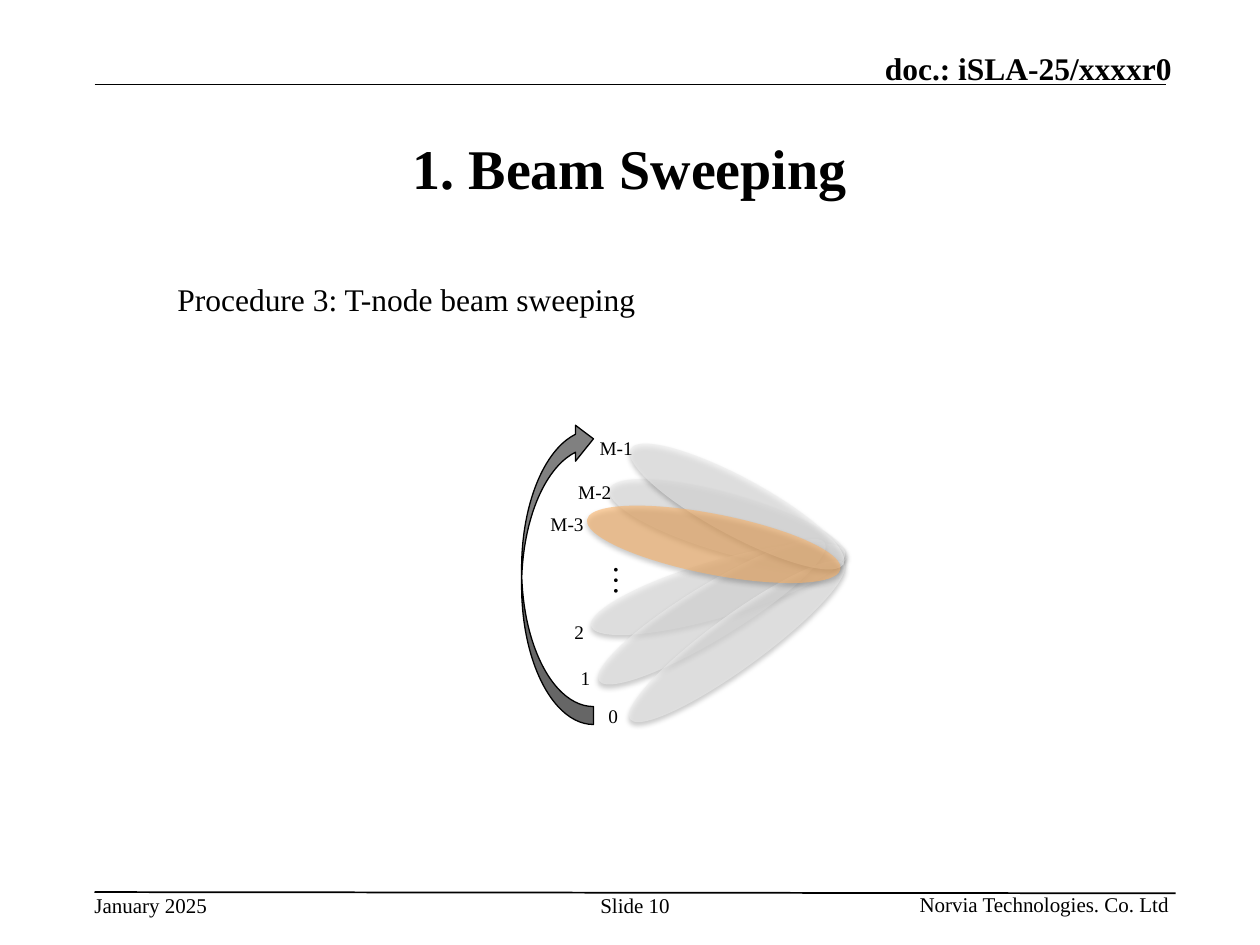
"""Build the beam sweeping slide on a grid of 100 columns by 75 rows."""
from dataclasses import dataclass, field
from typing import Any

from lxml.etree import SubElement
from pptx import Presentation
from pptx.dml.color import RGBColor
from pptx.enum.shapes import MSO_CONNECTOR, MSO_SHAPE
from pptx.enum.text import MSO_ANCHOR, MSO_AUTO_SIZE, PP_ALIGN
from pptx.oxml.ns import qn
from pptx.util import Emu, Inches, Pt

COLUMNS, ROWS = 100, 75
WIDTH, HEIGHT = Inches(10), Inches(7.5)


@dataclass(frozen=True)
class Theme:
    """Colours, type sizes and effects of the slide."""

    font: str = "Times New Roman"
    ink: str = "000000"
    idle_beam: str = "EBEBEB"
    active_beam: str = "F9B268"
    arrow: str = "808080"
    title: int = 32
    body: int = 18
    footer: int = 12
    label: int = 11
    beam_alpha: int = 60
    shadow_alpha: int = 35


THEME = Theme()


@dataclass(frozen=True)
class Area:
    """A rectangle in grid columns and rows."""

    column: float
    row: float
    columns: float
    rows: float

    def frame(self) -> tuple[Emu, Emu, Emu, Emu]:
        """Return left, top, width and height as lengths."""
        return (across(self.column), down(self.row),
                across(self.columns), down(self.rows))


@dataclass(frozen=True)
class Label:
    """A line of text, with its font and frame formats."""

    text: str
    area: Area
    size: int
    bold: bool = False
    align: PP_ALIGN = PP_ALIGN.LEFT
    indent: float = 0
    rotation: float = 0
    frame: dict[str, Any] = field(default_factory=dict)


@dataclass(frozen=True)
class Beam:
    """A tilted antenna lobe."""

    area: Area
    rotation: float
    color: str = THEME.idle_beam


@dataclass(frozen=True)
class Rule:
    """A straight line between two grid points."""

    start: tuple[float, float]
    end: tuple[float, float]


FLUSH = dict.fromkeys(("margin_left", "margin_top", "margin_right", "margin_bottom"), 0)
GROW = {"auto_size": MSO_AUTO_SIZE.SHAPE_TO_FIT_TEXT}
LOOSE = {"word_wrap": False, **GROW}

RULES = (
    Rule((7.5, 6.7), (92.5, 6.7)),
    Rule((7.5, 70.8), (93.3, 70.9)),
)
PAGE_LABELS = (
    Label("January 2025", Area(7.5, 70.8, 9, 2), THEME.footer, frame=FLUSH | LOOSE),
    Label("doc.: iSLA-25/xxxxr0", Area(54.7, 3.9, 38.3, 3), THEME.body, bold=True,
          align=PP_ALIGN.RIGHT, frame=FLUSH | {"vertical_anchor": MSO_ANCHOR.BOTTOM}),
    Label("Norvia Technologies. Co. Ltd", Area(72, 70.3, 22.6, 3), THEME.footer,
          frame=LOOSE),
    Label("1. Beam Sweeping", Area(7.5, 7.5, 85, 11.6), THEME.title, bold=True,
          align=PP_ALIGN.CENTER, frame={"vertical_anchor": MSO_ANCHOR.MIDDLE}),
    Label("Procedure 3: T-node beam sweeping", Area(7.5, 21.7, 85, 45), THEME.body,
          indent=5.6),
    Label("Slide 10", Area(47.5, 70.8, 5.8, 4), THEME.footer,
          align=PP_ALIGN.CENTER, frame=FLUSH),
)
BEAMS = (
    Beam(Area(48, 39.2, 19.6, 4.7), 196.1),
    Beam(Area(46.5, 44.5, 21, 4.5), 163.7),
    Beam(Area(46, 46.4, 21, 4.3), 148.6),
    Beam(Area(48, 48.8, 21, 4.2), 143.9),
    Beam(Area(48.9, 37.9, 19.2, 4.6), 208.4),
    Beam(Area(46.4, 40.8, 20.5, 4.8), 191.1, THEME.active_beam),
)
SWEEP = Area(41.4, 33.4, 5.7, 24.1)
DOTS = Label("…", Area(46.4, 44.7, 3.2, 4), THEME.body, rotation=270, frame=GROW)
BEAM_LABELS = tuple(
    Label(text, Area(column, row, columns, 2.9), THEME.label, frame=GROW)
    for text, column, row, columns in (
        ("0", 47.3, 55.4, 3.2),
        ("1", 45.1, 52.4, 2.9),
        ("2", 44.6, 48.7, 3.2),
        ("M-3", 42.7, 40.2, 4.7),
        ("M-2", 44.9, 37.6, 5.1),
        ("M-1", 46.6, 34.1, 5.2),
    )
)


def across(columns: float) -> Emu:
    """Turn grid columns into a length."""
    return Emu(round(WIDTH * columns / COLUMNS))


def down(rows: float) -> Emu:
    """Turn grid rows into a length."""
    return Emu(round(HEIGHT * rows / ROWS))


def apply(target: Any, formats: dict[str, Any]) -> None:
    """Set every format value on the target."""
    for name, value in formats.items():
        setattr(target, name, value)


def draw_label(shapes: Any, label: Label) -> None:
    """Draw a text box holding one paragraph."""
    box = shapes.add_textbox(*label.area.frame())
    box.rotation = label.rotation
    apply(box.text_frame, {"word_wrap": True, **label.frame})
    para = box.text_frame.paragraphs[0]
    para.alignment = label.align
    if label.indent:
        properties = para._p.get_or_add_pPr()
        properties.set("marL", str(across(label.indent)))
        properties.set("indent", "0")
    span = para.add_run()
    span.text = label.text
    apply(span.font, {"name": THEME.font, "size": Pt(label.size), "bold": label.bold})
    span.font.color.rgb = RGBColor.from_string(THEME.ink)


def draw_rule(shapes: Any, rule: Rule) -> None:
    """Draw a thin line without a shadow."""
    (left, top), (right, bottom) = rule.start, rule.end
    line = shapes.add_connector(MSO_CONNECTOR.STRAIGHT, across(left), down(top),
                                across(right), down(bottom))
    line.line.width = Pt(1)
    line.line.color.rgb = RGBColor.from_string(THEME.ink)
    SubElement(line.element.spPr, qn("a:effectLst"))


def draw_solid(shapes: Any, kind: MSO_SHAPE, area: Area, rotation: float, color: str) -> Any:
    """Draw a filled, rotated preset shape without a shadow."""
    shape = shapes.add_shape(kind, *area.frame())
    shape.rotation = rotation
    shape.shadow.inherit = False
    shape.fill.solid()
    shape.fill.fore_color.rgb = RGBColor.from_string(color)
    return shape


def add_alpha(color: Any, percent: int) -> None:
    """Make an XML colour partly transparent."""
    SubElement(color, qn("a:alpha"), val=str(percent * 1000))


def draw_beam(shapes: Any, beam: Beam) -> None:
    """Draw a translucent lobe with a soft shadow below it."""
    shape = draw_solid(shapes, MSO_SHAPE.OVAL, beam.area, beam.rotation, beam.color)
    shape.line.fill.background()
    properties = shape.element.spPr
    add_alpha(properties.find(qn("a:solidFill")).find(qn("a:srgbClr")), THEME.beam_alpha)
    shadow = SubElement(properties.find(qn("a:effectLst")), qn("a:outerShdw"),
                        blurRad=str(Pt(3.1)), dist=str(Pt(1.8)), dir="5400000",
                        rotWithShape="0")
    add_alpha(SubElement(shadow, qn("a:srgbClr"), val=THEME.ink), THEME.shadow_alpha)


def draw_sweep(shapes: Any, area: Area) -> None:
    """Draw the curved arrow that shows the sweep direction."""
    arrow = draw_solid(shapes, MSO_SHAPE.CURVED_LEFT_ARROW, area, 180, THEME.arrow)
    arrow.line.width = Pt(0.75)
    arrow.line.color.rgb = RGBColor.from_string(THEME.ink)


def main() -> None:
    """Build and save the deck."""
    deck = Presentation()
    apply(deck, {"slide_width": WIDTH, "slide_height": HEIGHT})
    page = deck.slides.add_slide(deck.slide_layouts[6])
    for rule in RULES:
        draw_rule(page.shapes, rule)
    for label in PAGE_LABELS:
        draw_label(page.shapes, label)
    diagram = page.shapes.add_group_shape().shapes
    for beam in BEAMS:
        draw_beam(diagram, beam)
    draw_sweep(diagram, SWEEP)
    for label in (DOTS, *BEAM_LABELS):
        draw_label(diagram, label)
    deck.save("out.pptx")


if __name__ == "__main__":
    main()
